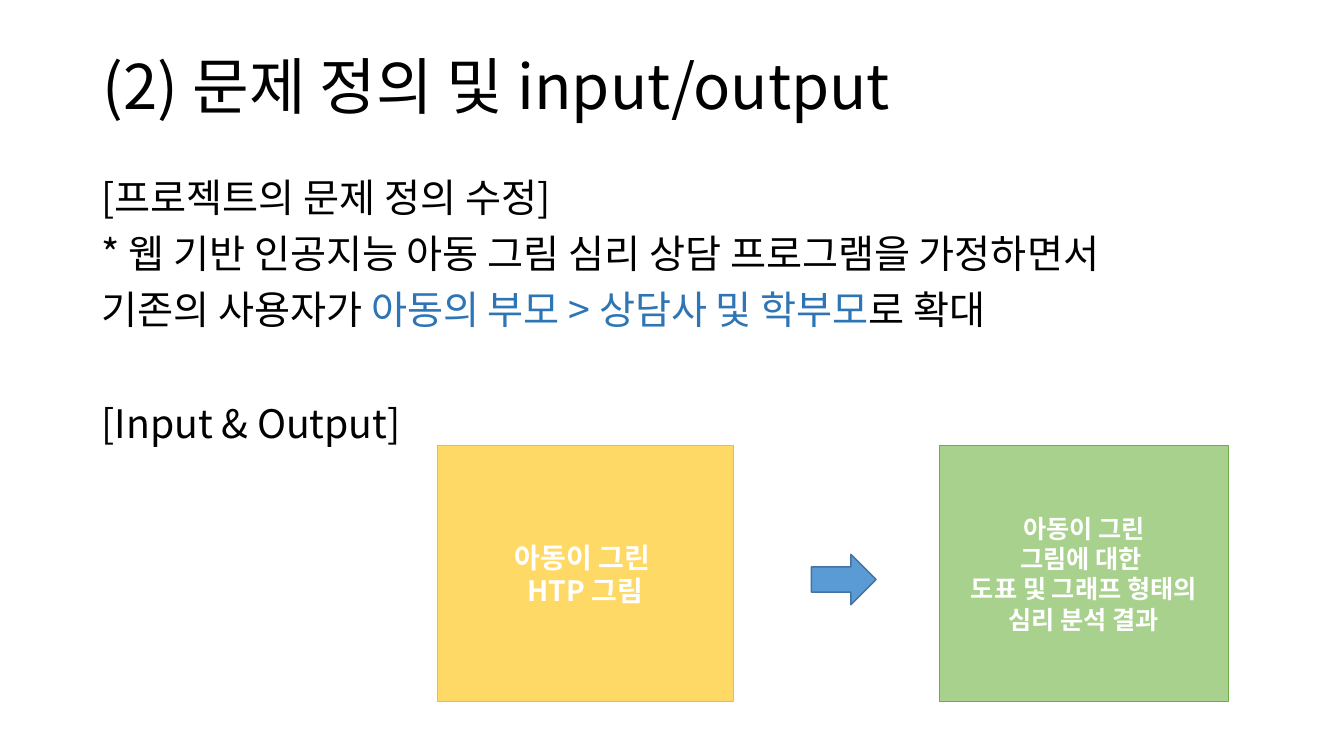
from lxml.etree import SubElement
from pptx import Presentation
from pptx.dml.color import RGBColor
from pptx.enum.shapes import MSO_SHAPE as Shape
from pptx.enum.text import MSO_ANCHOR as Anchor, PP_ALIGN as Align
from pptx.oxml.ns import qn
from pptx.util import Cm, Pt

FONT = "Noto Sans CJK KR"
BLACK = RGBColor(0x00, 0x00, 0x00)
WHITE = RGBColor(0xFF, 0xFF, 0xFF)
HIGHLIGHT = RGBColor(0x2E, 0x75, 0xB6)
YELLOW = RGBColor(0xFF, 0xD9, 0x66)
GOLD = RGBColor(0xFF, 0xC0, 0x00)
LIGHT_GREEN = RGBColor(0xA9, 0xD1, 0x8E)
GREEN = RGBColor(0x70, 0xAD, 0x47)
BLUE = RGBColor(0x5B, 0x9B, 0xD5)
DARK_BLUE = RGBColor(0x43, 0x73, 0x9E)

BODY_SIZE = 28
BODY_GAP = Pt(10)
SECTION_GAP = Pt(51)
CARD_TOP, CARD_HEIGHT = 11.23, 6.45


def apply(target, values):
    for name, value in values.items():
        setattr(target, name, value)


class SlideBuilder:
    def __init__(self, page):
        self.page = page

    def add_paragraphs(self, frame, paragraphs, size, color, bold=False, **layout):
        for index, (spans, extra) in enumerate(paragraphs):
            para = frame.paragraphs[0] if index == 0 else frame.add_paragraph()
            apply(para, {**layout, **extra})
            for words, span_color in spans:
                span = para.add_run()
                span.text = words
                apply(span.font, {"name": FONT, "size": Pt(size), "bold": bold})
                span.font.color.rgb = span_color or color
                SubElement(span.font._element, qn("a:ea"), typeface=FONT)

    def text(self, bounds, paragraphs, size, anchor=Anchor.TOP):
        box = self.page.shapes.add_textbox(*map(Cm, bounds))
        apply(box.text_frame, {"word_wrap": True, "vertical_anchor": anchor})
        self.add_paragraphs(box.text_frame, paragraphs, size, BLACK, line_spacing=0.9)

    def shape(self, kind, bounds, fill, line, lines=(), size=18):
        box = self.page.shapes.add_shape(kind, *map(Cm, bounds))
        box.shadow.inherit = False
        box.fill.solid()
        box.fill.fore_color.rgb = fill
        box.line.color.rgb = line
        box.line.width = Pt(1)
        box.text_frame.vertical_anchor = Anchor.MIDDLE
        paragraphs = [([(words, None)], {}) for words in lines]
        self.add_paragraphs(box.text_frame, paragraphs, size, WHITE, True, alignment=Align.CENTER)


def main():
    deck = Presentation()
    apply(deck, {"slide_width": Cm(33.87), "slide_height": Cm(19.05)})
    builder = SlideBuilder(deck.slides.add_slide(deck.slide_layouts[6]))

    title = [([("(2) 문제 정의 및 input/output", None)], {})]
    builder.text((2.34, 1.02, 29.21, 2.49), title, 44, Anchor.MIDDLE)

    gap = {"space_before": BODY_GAP}
    body = [
        ([("[프로젝트의 문제 정의 수정]", None)], gap),
        ([("* 웹 기반 인공지능 아동 그림 심리 상담 프로그램을 가정하면서", None)], gap),
        ([("기존의 사용자가 ", None),
          ("아동의 부모 > 상담사 및 학부모", HIGHLIGHT),
          ("로 확대", None)], gap),
        ([("[Input & Output]", None)], {"space_before": SECTION_GAP}),
    ]
    builder.text((2.31, 4.37, 29.21, 14.38), body, BODY_SIZE)

    builder.shape(Shape.RECTANGLE, (11.02, CARD_TOP, 7.47, CARD_HEIGHT), YELLOW, GOLD,
                  ["아동이 그린 ", "HTP 그림"], 20)
    builder.shape(Shape.RECTANGLE, (23.67, CARD_TOP, 7.29, CARD_HEIGHT), LIGHT_GREEN, GREEN,
                  ["아동이 그린", "그림에 대한 ", "도표 및 그래프 형태의 심리 분석 결과"])
    builder.shape(Shape.RIGHT_ARROW, (20.45, 13.97, 1.63, 1.27), BLUE, DARK_BLUE)

    deck.save("out.pptx")


if __name__ == "__main__":
    main()
